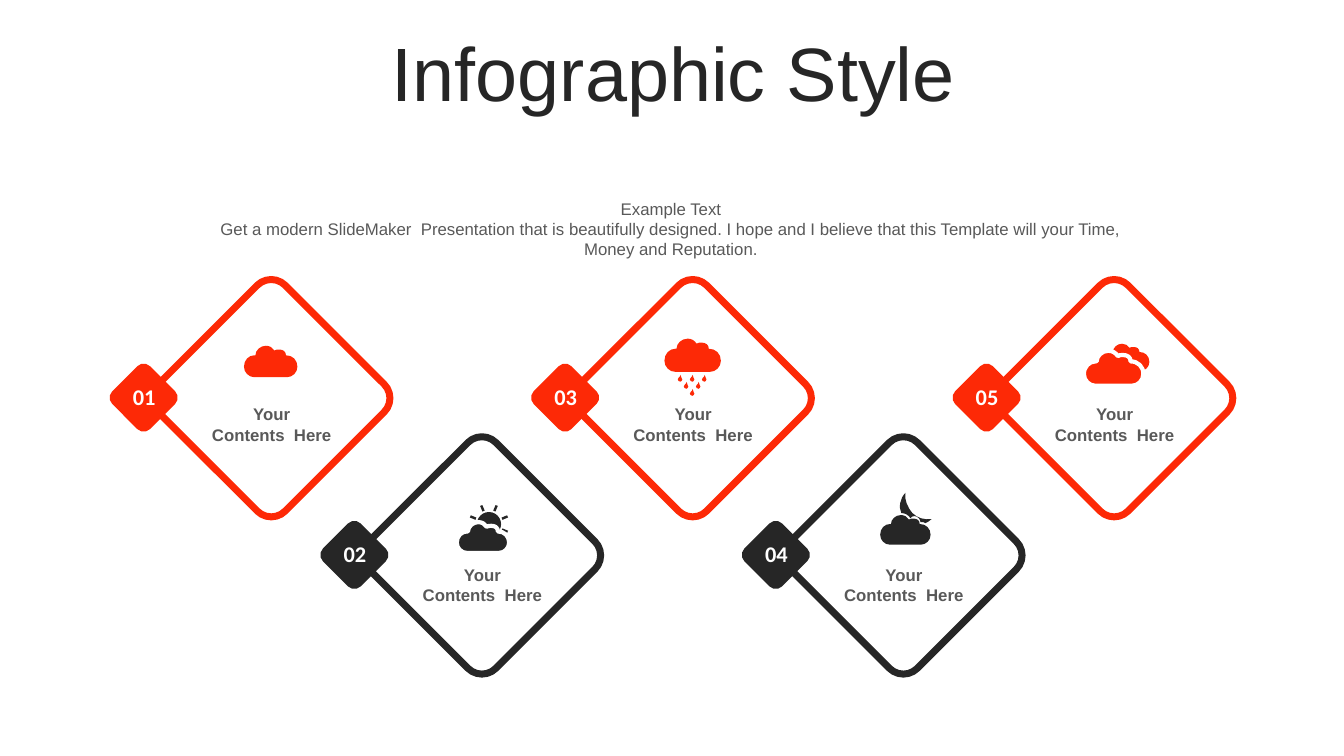
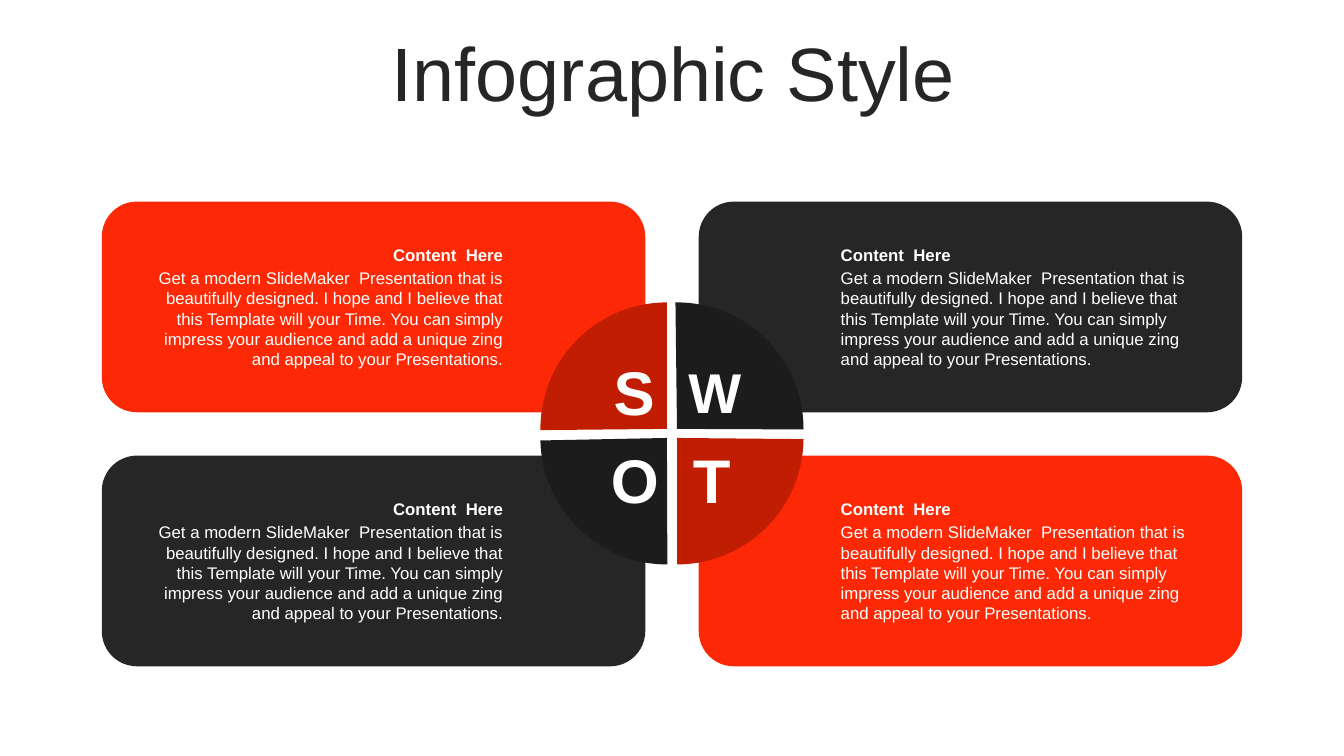
from dataclasses import dataclass
from math import cos, radians, sin

from pptx import Presentation
from pptx.dml.color import RGBColor
from pptx.enum.shapes import MSO_SHAPE
from pptx.enum.text import MSO_ANCHOR, PP_ALIGN
from pptx.oxml.ns import qn
from pptx.util import Inches, Pt

ROUND, OVAL, PIE = MSO_SHAPE.ROUNDED_RECTANGLE, MSO_SHAPE.OVAL, MSO_SHAPE.PIE
LEFT, CENTER, RIGHT = PP_ALIGN.LEFT, PP_ALIGN.CENTER, PP_ALIGN.RIGHT
TOP, MIDDLE = MSO_ANCHOR.TOP, MSO_ANCHOR.MIDDLE


@dataclass(frozen=True)
class Theme:
    red: str = "FD2906"
    dark: str = "262626"
    deep_red: str = "C11D02"
    deep_dark: str = "1C1C1C"
    gray: str = "595959"
    white: str = "FFFFFF"
    font: str = "Arial"
    num_font: str = "Calibri"
    title: int = 54
    letter: int = 44
    small_letter: int = 40
    number: int = 16
    body: int = 12


T = Theme()

TITLE = "Infographic Style"
INTRO = [
    "Example Text",
    "Get a modern SlideMaker  Presentation that is beautifully designed. "
    "I hope and I believe that this Template will your Time, Money and Reputation.",
]
LABEL = ["Your", "Contents  Here"]
HEAD = "Content  Here"
BODY = (
    "Get a modern SlideMaker  Presentation that is beautifully designed. "
    "I hope and I believe that this Template will your Time. You can simply "
    "impress your audience and add a unique zing and appeal to your Presentations."
)

# Diamond rows: centre, label top, colour
ROWS = [(3.95, 3.96, T.red), (5.51, 5.55, T.dark)]
FIRST_X, STEP_X = 2.69, 2.09

# Letter, size, column, row, panel colour, pie colour, pie angles
SWOT = [
    ("S", T.letter, 0, 0, T.red, T.deep_red, (179.45, 270)),
    ("W", T.small_letter, 1, 0, T.dark, T.deep_dark, (269.3, 0.25)),
    ("O", T.letter, 0, 1, T.dark, T.deep_dark, (89.8, 178.86)),
    ("T", T.letter, 1, 1, T.red, T.deep_red, (0.53, 89.96)),
]
PANEL_X, PANEL_Y = (1.01, 6.93), (2.0, 4.52)
TEXT_X, ALIGN = (1.33, 8.24), (RIGHT, LEFT)
PIE_X, PIE_Y = (5.36, 5.46), (3.0, 3.09)
LETTER_X, LETTER_Y = (6.29, 7.06), (3.88, 4.75)

# Outlines in 1/100 inch: a start, then lines (2 numbers) or curves (6)
CLOUD = [
    (23, 0), (27, 0, 30, 2, 32, 5), (33, 4, 35, 4, 37, 4),
    (41, 4, 44, 6, 44, 10), (51, 10, 56, 15, 56, 22),
    (56, 28, 51, 33, 45, 33), (11, 33), (5, 33, 0, 28, 0, 22),
    (0, 15, 5, 10, 11, 10), (12, 10), (12, 5, 17, 0, 23, 0),
]
CLOUD_WIDTH = 0.56
MOON = [
    (7, 0), (6, 7, 9, 14, 14, 20), (19, 25, 26, 27, 33, 26),
    (31, 28, 29, 29, 27, 30), (26, 29, 24, 29, 23, 29), (22, 29),
    (22, 26, 19, 23, 16, 23), (14, 23, 13, 24, 12, 25),
    (10, 22, 7, 20, 3, 20), (0, 14, 2, 5, 7, 0),
]
DROP = [
    (3, 0), (3, 1, 4, 2, 4, 3), (5, 4, 5, 5, 4, 6),
    (4, 7, 2, 7, 1, 6), (0, 5, 0, 4, 1, 3), (2, 2, 3, 1, 3, 0),
]


def rgb(color):
    return RGBColor.from_string(color)


def paint(shape, fill, line=None, width=0):
    shape.shadow.inherit = False
    shape.fill.solid()
    shape.fill.fore_color.rgb = rgb(fill)
    if line:
        shape.line.color.rgb = rgb(line)
        shape.line.width = Pt(width)
    else:
        shape.line.fill.background()


def add_shape(slide, kind, x, y, w, h, fill, line=None, width=0, turn=0, adjust=()):
    shape = slide.shapes.add_shape(kind, Inches(x), Inches(y), Inches(w), Inches(h))
    shape.rotation = turn
    for i, value in enumerate(adjust):
        shape.adjustments[i] = value
    paint(shape, fill, line, width)


def add_text(slide, lines, x, y, w, h, size=T.body, color=T.white, font=T.font,
             bold=False, align=CENTER, anchor=TOP, spacing=None):
    frame = slide.shapes.add_textbox(Inches(x), Inches(y), Inches(w), Inches(h)).text_frame
    frame.word_wrap = True
    frame.vertical_anchor = anchor
    for i, line in enumerate(lines):
        para = frame.add_paragraph() if i else frame.paragraphs[0]
        para.text = line
        para.alignment = align
        para.line_spacing = spacing
        para.font.size = Pt(size)
        para.font.name = font
        para.font.bold = bold
        para.font.color.rgb = rgb(color)


def shift(outline, dx, dy):
    return [tuple(n + (dy if i % 2 else dx) for i, n in enumerate(part))
            for part in outline]


def bend(shape, outlines):
    """Join each three lines that stand for a curve into one curve."""
    track = shape._element.xpath(".//a:path")[0]
    lines = iter(track.findall(qn("a:lnTo")))
    for part in (part for outline in outlines for part in outline[1:]):
        first = next(lines)
        if len(part) == 6:
            first.tag = qn("a:cubicBezTo")
            for _ in range(2):
                extra = next(lines)
                first.append(extra[0])
                track.remove(extra)


def add_outlines(slide, outlines, x, y, fill, scale=1, **line):
    """Draw all outlines as one shape."""
    builder = None
    for outline in outlines:
        start, *rest = [
            (Inches(x + part[i] * scale / 100), Inches(y + part[i + 1] * scale / 100))
            for part in outline for i in range(0, len(part), 2)]
        if builder:
            builder.move_to(*start)
        else:
            builder = slide.shapes.build_freeform(*start, scale=1.0)
        builder.add_line_segments(rest, close=True)
    shape = builder.convert_to_shape()
    bend(shape, outlines)
    paint(shape, fill, **line)


def add_cloud(slide, x, y, width, color, halo=False):
    """Draw a cloud; a halo parts it from what lies behind."""
    edge = 0.02 if halo else 0
    line = {"line": T.white, "width": 3} if halo else {}
    scale = (width + 2 * edge) / CLOUD_WIDTH
    add_outlines(slide, [CLOUD], x - edge, y - edge, color, scale, **line)


def draw_cloud(slide, x, y, color):
    add_cloud(slide, x - 0.27, y - 0.52, 0.53, color)


def make_ray(turn):
    c, s = cos(radians(turn)), sin(radians(turn))
    corners = [(14, -1.2), (20, -1.2), (20, 1.2), (14, 1.2)]
    return [(a * c - b * s, a * s + b * c) for a, b in corners]


def draw_sun(slide, x, y, color):
    sun_x, sun_y, radius = x + 0.07, y - 0.31, 0.12
    add_shape(slide, OVAL, sun_x - radius, sun_y - radius, 2 * radius, 2 * radius, color)
    rays = [make_ray(22.5 - 45 * i) for i in range(5)]
    add_outlines(slide, rays, sun_x, sun_y, color)
    add_cloud(slide, x - 0.23, y - 0.31, 0.48, color, halo=True)


def draw_rain(slide, x, y, color):
    drops = [shift(DROP, 13 + 6 * (row + 2 * i), 36 + 7 * row)
             for row in range(3) for i in range(3 - row)]
    add_outlines(slide, [CLOUD, *drops], x - 0.28, y - 0.59, color)


def draw_moon(slide, x, y, color):
    add_outlines(slide, [MOON], x - 0.05, y - 0.62, color)
    add_cloud(slide, x - 0.23, y - 0.4, 0.5, color)


def draw_clouds(slide, x, y, color):
    add_cloud(slide, x - 0.11, y - 0.54, 0.46, color)
    add_cloud(slide, x - 0.28, y - 0.45, 0.55, color, halo=True)


ICONS = [draw_cloud, draw_sun, draw_rain, draw_moon, draw_clouds]


def add_slide(deck):
    slide = deck.slides.add_slide(deck.slide_layouts[6])
    add_text(slide, [TITLE], 0.35, 0.37, 12.66, 0.79, size=T.title, color=T.dark,
             anchor=MIDDLE, spacing=0.9)
    return slide


def add_diamonds(deck):
    slide = add_slide(deck)
    add_text(slide, INTRO, 1.87, 1.92, 9.57, 0.71, color=T.gray)
    for i, draw in enumerate(ICONS):
        x = FIRST_X + STEP_X * i
        y, label_y, color = ROWS[i % 2]
        add_shape(slide, ROUND, x - 0.89, y - 0.89, 1.78, 1.78, T.white,
                  line=color, width=5, turn=315, adjust=[0.11])
        add_shape(slide, ROUND, x - 1.53, y - 0.27, 0.53, 0.53, color, turn=315)
        add_text(slide, [f"{i + 1:02}"], x - 1.52, y - 0.2, 0.52, 0.37, size=T.number,
                 font=T.num_font, bold=True, anchor=MIDDLE)
        add_text(slide, LABEL, x - 0.81, label_y, 1.63, 0.5, color=T.gray, bold=True)
        draw(slide, x, y, color)


def add_swot(deck):
    slide = add_slide(deck)
    for _, _, col, row, color, _, _ in SWOT:
        x, y, align = TEXT_X[col], PANEL_Y[row], ALIGN[col]
        add_shape(slide, ROUND, PANEL_X[col], y, 5.39, 2.09, color)
        add_text(slide, [HEAD], x, y + 0.38, 3.76, 0.3, bold=True, align=align, anchor=MIDDLE)
        add_text(slide, [BODY], x, y + 0.61, 3.76, 1.11, align=align)
    for letter, size, col, row, _, color, angles in SWOT:
        add_shape(slide, PIE, PIE_X[col], PIE_Y[row], 2.51, 2.51, color,
                  adjust=[angle * 0.6 for angle in angles])
        add_text(slide, [letter], LETTER_X[col] - 0.33, LETTER_Y[row] - 0.37, 0.66, 0.74,
                 size=size, bold=True, anchor=MIDDLE)


def main():
    deck = Presentation()
    deck.slide_width, deck.slide_height = Inches(13.33), Inches(7.5)
    add_diamonds(deck)
    add_swot(deck)
    deck.save("out.pptx")


if __name__ == "__main__":
    main()
